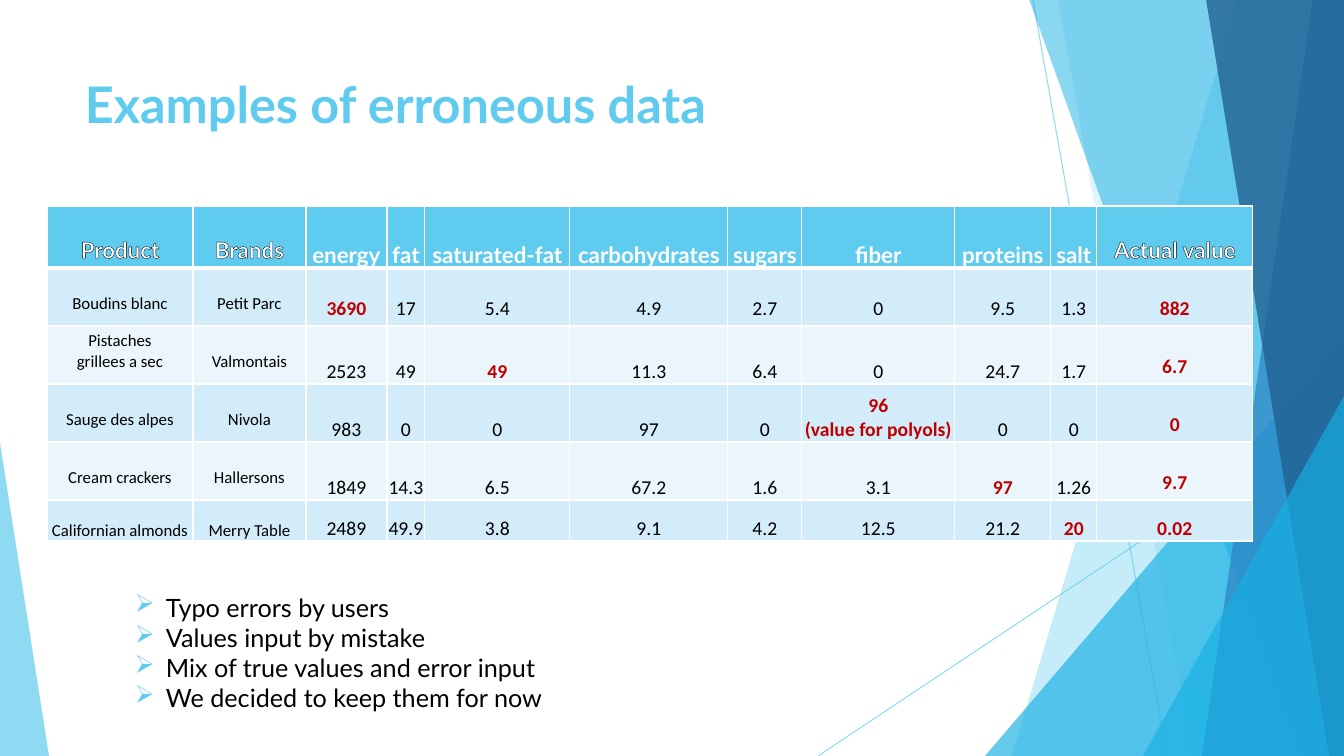
from lxml.etree import SubElement
from pptx import Presentation
from pptx.dml.color import RGBColor
from pptx.enum.shapes import MSO_CONNECTOR, MSO_SHAPE
from pptx.enum.text import MSO_ANCHOR, PP_ALIGN
from pptx.oxml.ns import qn
from pptx.util import Pt

COLORS = {
    "sky": "5FCBEF", "cyan": "17B0E4", "blue": "2E83C3", "navy": "226292",
    "white": "FFFFFF", "black": "000000", "red": "C00000",
    "band_dark": "D2ECF9", "band_light": "EAF6FC",
}
EMU_PER_PX = 914400 / 100.8
WIDTH, HEIGHT = 1344, 756

COLUMN_WIDTHS = [146, 113, 81, 38, 145, 158, 74, 153, 96, 46, 156]
ROW_HEIGHTS = [62, 58, 58, 58, 58, 41]
FOODS = [
    ["Product", "Brands", "energy", "fat", "saturated-fat", "carbohydrates",
     "sugars", "fiber", "proteins", "salt", "Actual value"],
    ["Boudins blanc", "Petit Parc", "3690", "17", "5.4", "4.9", "2.7", "0", "9.5", "1.3", "882"],
    ["Pistaches\ngrillees a sec", "Valmontais", "2523", "49", "49", "11.3", "6.4", "0",
     "24.7", "1.7", "6.7"],
    ["Sauge des alpes", "Nivola", "983", "0", "0", "97", "0", "96\n(value for polyols)",
     "0", "0", "0"],
    ["Cream crackers", "Hallersons", "1849", "14.3", "6.5", "67.2", "1.6", "3.1", "97",
     "1.26", "9.7"],
    ["Californian almonds", "Merry Table", "2489", "49.9", "3.8", "9.1", "4.2", "12.5",
     "21.2", "20", "0.02"],
]
LAST_ROW, ACTUAL = len(FOODS) - 1, len(FOODS[0]) - 1
ERRORS = {(1, 2), (2, 4), (3, 7), (4, 8), (5, 9)}
CAUSES = [
    "Typo errors by users",
    "Values input by mistake",
    "Mix of true values and error input",
    "We decided to keep them for now",
]


def px(length):
    return round(length * EMU_PER_PX)


def rgb(color):
    return RGBColor.from_string(COLORS[color])


def add_solid_fill(parent, color):
    fill = SubElement(parent, qn("a:solidFill"))
    SubElement(fill, qn("a:srgbClr"), val=COLORS[color])


class SlideBuilder:
    """Draws styled elements on the current slide, with lengths in px."""

    def __init__(self, slide):
        self.slide = slide
        self.shapes = slide.shapes

    def set_alpha(self, shape, percent):
        color = shape._element.spPr.find(".//" + qn("a:srgbClr"))
        SubElement(color, qn("a:alpha"), val=str(percent * 1000))

    def paint(self, shape, color, alpha):
        shape.shadow.inherit = False
        shape.fill.solid()
        shape.fill.fore_color.rgb = rgb(color)
        shape.line.fill.background()
        self.set_alpha(shape, alpha)

    def line(self, x1, y1, x2, y2):
        connector = self.shapes.add_connector(
            MSO_CONNECTOR.STRAIGHT, px(x1), px(y1), px(x2), px(y2))
        connector.line.color.rgb = rgb("sky")
        connector.line.width = Pt(0.75)
        self.set_alpha(connector, 70)
        SubElement(connector._element.spPr, qn("a:effectLst"))

    def ribbon(self, top_x, bottom_x, color, alpha):
        builder = self.shapes.build_freeform(top_x, -1, scale=EMU_PER_PX)
        builder.add_line_segments([(WIDTH, -1), (WIDTH, HEIGHT), (bottom_x, HEIGHT)])
        self.paint(builder.convert_to_shape(), color, alpha)

    def triangle(self, left, top, width, apex, color, alpha):
        shape = self.shapes.add_shape(
            MSO_SHAPE.ISOSCELES_TRIANGLE, px(left), px(top), px(width), px(HEIGHT - top))
        shape.adjustments[0] = apex
        self.paint(shape, color, alpha)

    def style(self, paragraph, size, color, bold=False, name="Lato"):
        font = paragraph.font
        font.name, font.size, font.bold = name, Pt(size), bold
        font.color.rgb = rgb(color)

    def text_box(self, left, top, width, height, wrap=True):
        box = self.shapes.add_textbox(px(left), px(top), px(width), px(height))
        box.text_frame.word_wrap = wrap
        return box.text_frame

    def title(self, left, top, width, height, text):
        frame = self.text_box(left, top, width, height)
        frame.text = text
        self.style(frame.paragraphs[0], 36, "sky", bold=True)

    def bullets(self, left, top, width, height, items):
        frame = self.text_box(left, top, width, height, wrap=False)
        frame.text = "\n".join(items)
        for paragraph in frame.paragraphs:
            properties = paragraph._p.get_or_add_pPr()
            properties.set("marL", str(px(31)))
            properties.set("indent", str(-px(31)))
            bullet_color = SubElement(properties, qn("a:buClr"))
            SubElement(bullet_color, qn("a:srgbClr"), val=COLORS["sky"])
            SubElement(properties, qn("a:buChar"), char="➢")
            self.style(paragraph, 18, "black")

    def borders(self, cell, row):
        properties = cell._tc.get_or_add_tcPr()
        widths = {"L": 1, "R": 1, "T": 3 if row == 1 else 1, "B": 3 if row == 0 else 1}
        for side, width in widths.items():
            edge = SubElement(properties, qn("a:ln" + side), w=str(Pt(width)))
            add_solid_fill(edge, "white")

    def outline(self, run):
        edge = SubElement(run._r.get_or_add_rPr(), qn("a:ln"), w=str(Pt(0.75)))
        add_solid_fill(edge, "black")

    def bottom_margin(self, row, column):
        if row == LAST_ROW:
            return 0
        if column < 2:
            return 12 if row else 5
        return 5 if row == 1 or column == ACTUAL else 0

    def cell(self, cell, row, column, text):
        self.borders(cell, row)
        cell.fill.solid()
        band = "band_dark" if row % 2 else "band_light"
        cell.fill.fore_color.rgb = rgb(band if row else "sky")
        cell.margin_left = cell.margin_right = cell.margin_top = px(1)
        cell.margin_bottom = px(self.bottom_margin(row, column))
        cell.vertical_anchor = MSO_ANCHOR.BOTTOM
        cell.text = text
        for paragraph in cell.text_frame.paragraphs:
            paragraph.alignment = PP_ALIGN.CENTER
            if row == 0:
                self.style(paragraph, 16, "white", bold=True)
                if column in (0, 1, ACTUAL):
                    self.outline(paragraph.runs[0])
            else:
                wrong = column == ACTUAL or (row, column) in ERRORS
                self.style(paragraph, 12 if column < 2 else 14,
                           "red" if wrong else "black", wrong, "Calibri")

    def table(self, left, top, widths, heights, rows):
        table = self.shapes.add_table(
            len(heights), len(widths), px(left), px(top),
            px(sum(widths)), px(sum(heights))).table
        for column, width in zip(table.columns, widths):
            column.width = px(width)
        for row, height in zip(table.rows, heights):
            row.height = px(height)
        for row, texts in enumerate(rows):
            for column, text in enumerate(texts):
                self.cell(table.cell(row, column), row, column, text)


def main():
    presentation = Presentation()
    presentation.slide_width, presentation.slide_height = px(WIDTH), px(HEIGHT)
    builder = SlideBuilder(presentation.slides.add_slide(presentation.slide_layouts[6]))

    builder.line(1033, 0, 1167, HEIGHT)
    builder.line(WIDTH, 406, 818, HEIGHT)
    builder.ribbon(1238, 1012, "sky", 36)
    builder.ribbon(1058, 1192, "sky", 20)
    builder.triangle(985, 336, 359, 1, "cyan", 66)
    builder.ribbon(1029, 1301, "cyan", 50)
    builder.ribbon(1313, 1202, "blue", 70)
    builder.ribbon(1206, 1329, "navy", 80)
    builder.triangle(1143, 396, 201, 1, "cyan", 66)
    builder.triangle(0, 443, 49, 0, "sky", 70)

    builder.title(75, 68, 948, 79, "Examples of erroneous data")
    builder.table(47, 206, COLUMN_WIDTHS, ROW_HEIGHTS, FOODS)
    builder.bullets(125, 587, 436, 132, CAUSES)
    presentation.save("out.pptx")


if __name__ == "__main__":
    main()
